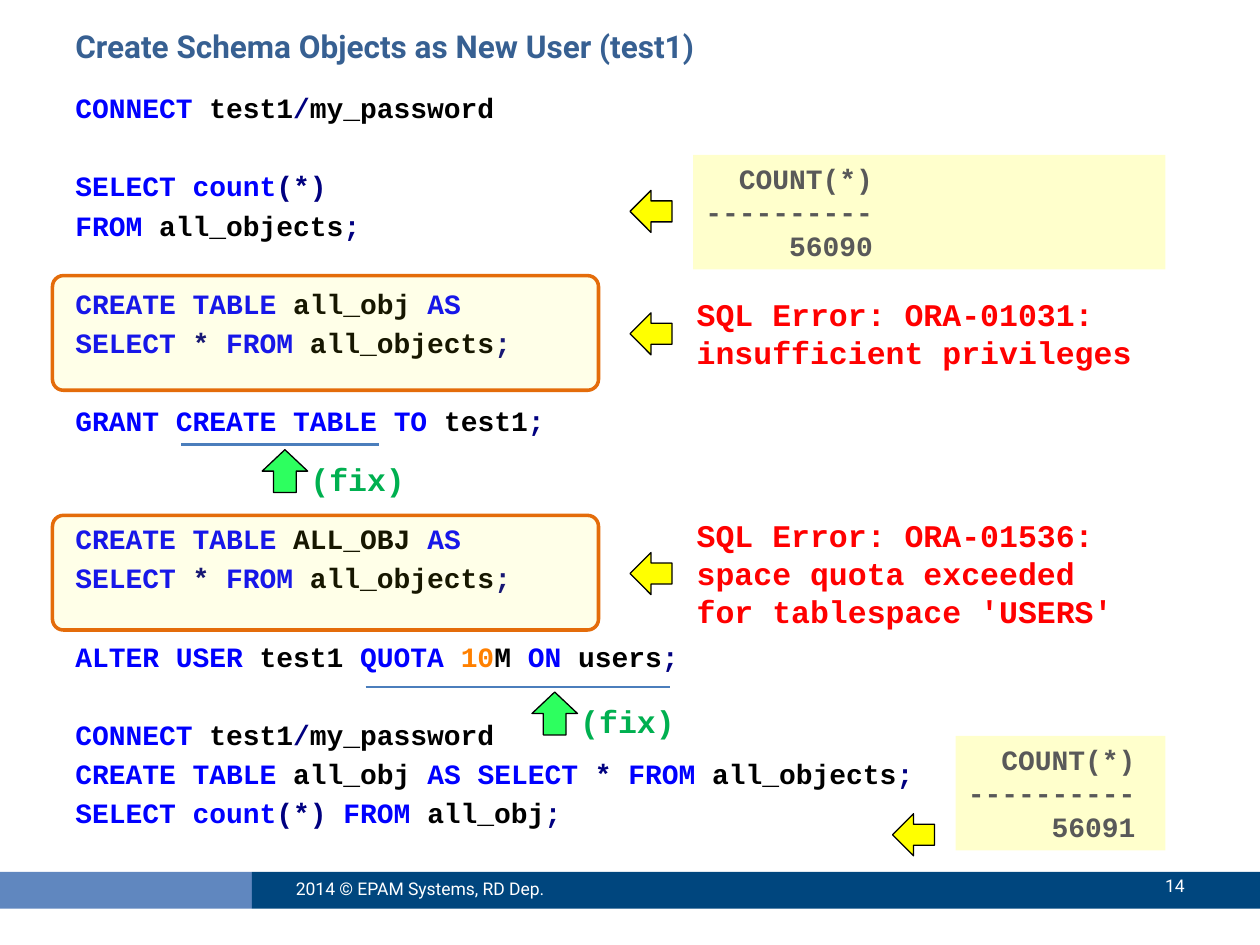
from itertools import groupby

from lxml.etree import SubElement
from pptx import Presentation
from pptx.dml.color import RGBColor
from pptx.enum.shapes import MSO_CONNECTOR, MSO_SHAPE
from pptx.enum.text import MSO_ANCHOR, PP_ALIGN
from pptx.oxml.ns import qn
from pptx.util import Pt

BLACK = RGBColor(0, 0, 0)
WHITE = RGBColor(255, 255, 255)
BLUE = RGBColor(0, 0, 255)
NAVY = RGBColor(0, 0, 128)
AMBER = RGBColor(255, 128, 0)
RED = RGBColor(255, 0, 0)
YELLOW = RGBColor(255, 255, 0)
ORANGE = RGBColor(0xE4, 0x6C, 0x0A)
LIME = RGBColor(0x2D, 0xFF, 0x5F)
GREEN = RGBColor(0, 0xB0, 0x50)
GRAY = RGBColor(0x59, 0x59, 0x59)
STEEL = RGBColor(0x37, 0x60, 0x92)
RULE = RGBColor(0x4B, 0x7E, 0xBC)
BAND = RGBColor(0, 0x46, 0x7E)
BADGE = RGBColor(0x60, 0x87, 0xBF)

MONO, SANS = "Courier New", "Roboto"
GAP, PITCH = 3.2, 22.4
ARROW = 24
KEYWORDS = set("CONNECT SELECT count FROM CREATE TABLE AS GRANT TO "
               "ALTER USER QUOTA ON".split())
# Each entry: empty rows above the line, then the line.
CODE = [
    (0, "CONNECT test1/my_password"),
    (1, "SELECT count(*)"),
    (0, "FROM all_objects;"),
    (1, "CREATE TABLE all_obj AS"),
    (0, "SELECT * FROM all_objects;"),
    (1, "GRANT CREATE TABLE TO test1;"),
    (2, "CREATE TABLE ALL_OBJ AS"),
    (0, "SELECT * FROM all_objects;"),
    (1, "ALTER USER test1 QUOTA 10M ON users;"),
    (1, "CONNECT test1/my_password"),
    (0, "CREATE TABLE all_obj AS SELECT * FROM all_objects;"),
    (0, "SELECT count(*) FROM all_obj;"),
]


def paint(line):
    """Yield (text, colour) pieces of one line of SQL."""
    for is_word, chars in groupby(line, lambda c: c.isalnum() or c == "_"):
        piece = "".join(chars)
        if not is_word:
            yield piece, NAVY
            continue
        word = piece.lstrip("0123456789")
        digits = piece[:len(piece) - len(word)]
        if digits:
            yield digits, AMBER
        if word:
            yield word, BLUE if word in KEYWORDS else BLACK


def write(shape, text, size=16, font=MONO, color=BLACK, bold=True,
          align=PP_ALIGN.LEFT, anchor=MSO_ANCHOR.TOP, pad=3.6,
          split=None, gaps=None):
    """Fill a shape with text; split colours a line, gaps go above lines."""
    frame = shape.text_frame
    frame.word_wrap = True
    frame.vertical_anchor = anchor
    frame.margin_top = frame.margin_bottom = Pt(pad)
    for i, line in enumerate(text.split("\n")):
        para = frame.paragraphs[0] if i == 0 else frame.add_paragraph()
        para.alignment = align
        if gaps and i:
            para.space_before = Pt(gaps[i])
        for piece, tint in split(line) if split else [(line, color)]:
            run = para.add_run()
            run.text = piece
            run.font.name, run.font.size = font, Pt(size)
            run.font.bold, run.font.color.rgb = bold, tint


def label(slide, box, text, **style):
    write(slide.shapes.add_textbox(*map(Pt, box)), text, **style)


def block(slide, kind, box, fill, line=None, width=0.75, alpha=None):
    """Add a filled shape; alpha is its opacity in percent."""
    shape = slide.shapes.add_shape(kind, *map(Pt, box))
    shape.shadow.inherit = False
    shape.fill.solid()
    shape.fill.fore_color.rgb = fill
    if alpha:
        tint = shape.fill._xPr.find(".//" + qn("a:srgbClr"))
        SubElement(tint, qn("a:alpha"), val=str(alpha * 1000))
    if line is None:
        shape.line.fill.background()
    else:
        shape.line.color.rgb = line
        shape.line.width = Pt(width)
    return shape


def pointer(slide, left, top):
    block(slide, MSO_SHAPE.LEFT_ARROW, (left, top, ARROW, ARROW),
          YELLOW, BLACK)


def listing(slide, box):
    label(slide, box, "\n".join(line for _, line in CODE), split=paint,
          gaps=[GAP + rows * PITCH for rows, _ in CODE])


def failure(slide, box, error):
    """Frame a failing statement and put its error to the right."""
    left, top, width, height = box
    frame = block(slide, MSO_SHAPE.ROUNDED_RECTANGLE, box, YELLOW,
                  ORANGE, 2, alpha=9)
    frame.adjustments[0] = 0.095
    pointer(slide, left + width + 18, top + (height - ARROW) / 2 + 0.5)
    label(slide, (left + width + 49, top, 264, height), error, size=18,
          color=RED, anchor=MSO_ANCHOR.MIDDLE, pad=0)


def result(slide, box, count, drop):
    """Show a query result; drop is the pointer's offset from the top."""
    panel = block(slide, MSO_SHAPE.RECTANGLE, box, YELLOW, alpha=20)
    write(panel, f"  COUNT(*)\n----------\n{count:>10}", color=GRAY)
    pointer(slide, box[0] - 36, box[1] + drop)


def remedy(slide, left, top, width, shift):
    """Underline the fixing words; shift places the arrow under them."""
    rule = slide.shapes.add_connector(
        MSO_CONNECTOR.STRAIGHT, Pt(left), Pt(top), Pt(left + width), Pt(top))
    rule.line.color.rgb = RULE
    rule.line.width = Pt(1.5)
    SubElement(rule._element.spPr, qn("a:effectLst"))
    block(slide, MSO_SHAPE.UP_ARROW, (left + shift, top + 3, 26, 24.5),
          LIME, BLACK)
    label(slide, (left + shift + 20.5, top + 5.2, 78, 29), "(fix)",
          size=18, color=GREEN)


def footer(slide, box):
    left, top, width, height = box
    small = dict(size=10, font=SANS, color=WHITE, bold=False,
                 anchor=MSO_ANCHOR.MIDDLE)
    block(slide, MSO_SHAPE.RECTANGLE, (left, top, 144, height), BADGE)
    block(slide, MSO_SHAPE.RECTANGLE,
          (left + 144, top, width - 144, height), BAND)
    label(slide, (left + 162, top - 5, 192, 29),
          "2014 © EPAM Systems, RD Dep.", **small)
    label(slide, (left + 606, top - 6.5, 78, 29), "14",
          align=PP_ALIGN.RIGHT, **small)


def main():
    deck = Presentation()
    deck.slide_width, deck.slide_height = Pt(720), Pt(540)
    slide = deck.slides.add_slide(deck.slide_layouts[6])
    footer(slide, (0, 498.2, 720, 21))
    label(slide, (36, 12.2, 648, 36),
          "Create Schema Objects as New User (test1)",
          size=18, font=SANS, color=STEEL)
    listing(slide, (36, 48.2, 648, 438))
    failure(slide, (30, 157.5, 312, 65.5),
            "SQL Error: ORA-01031: insufficient privileges")
    result(slide, (396, 88.5, 270, 65.5), 56090, 20.3)
    remedy(slide, 103.5, 254, 113, 46.3)
    failure(slide, (30, 294.5, 312, 65.5),
            "SQL Error: ORA-01536: space quota exceeded "
            "for tablespace 'USERS'")
    remedy(slide, 209, 392.5, 174, 95)
    result(slide, (546, 420.5, 120, 65.5), 56091, 44.5)
    deck.save("out.pptx")


if __name__ == "__main__":
    main()
